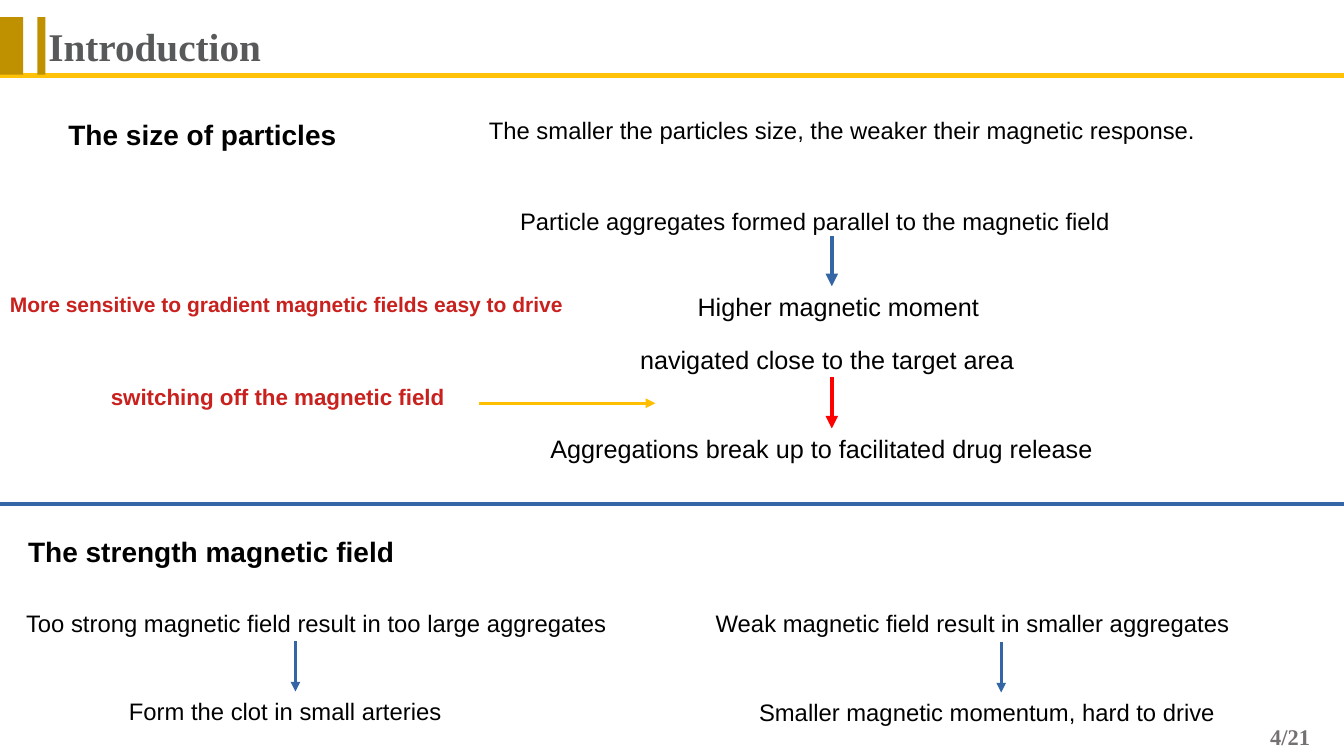
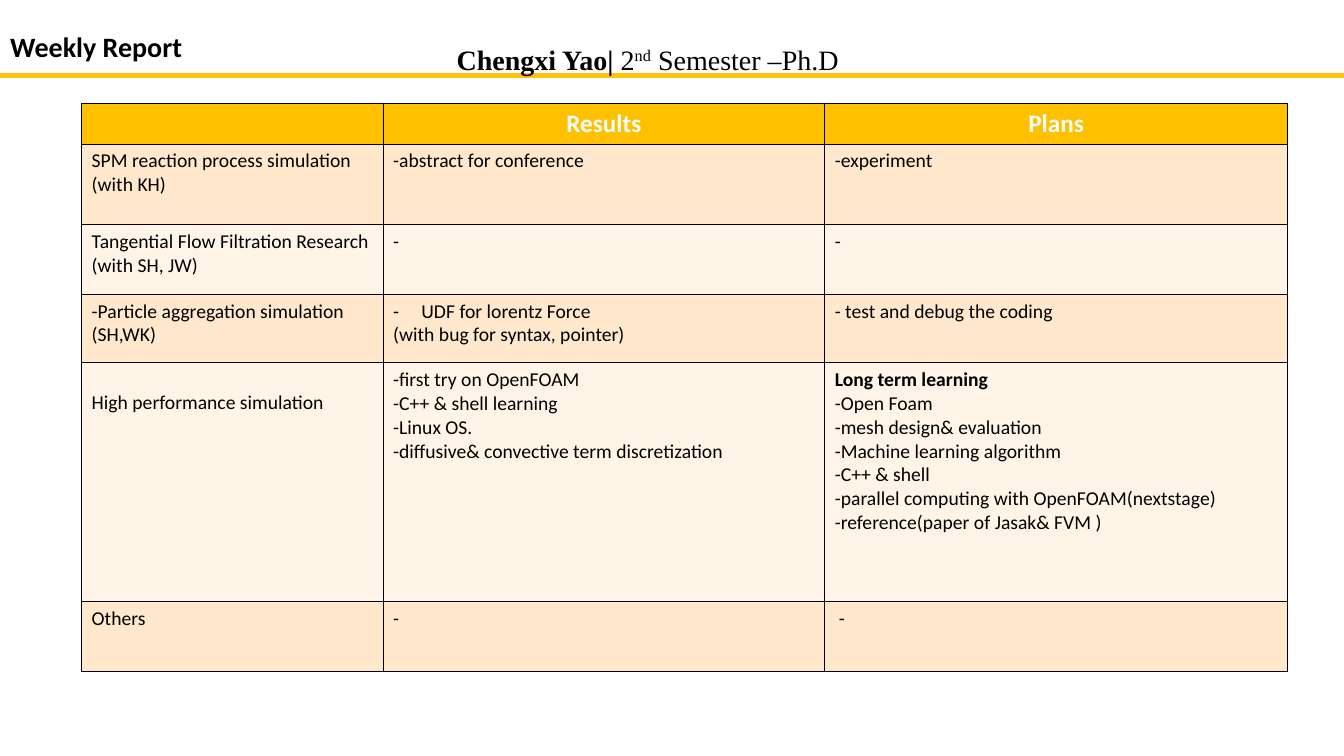
from lxml import etree
from pptx import Presentation
from pptx.dml.color import RGBColor
from pptx.enum.shapes import MSO_CONNECTOR, MSO_SHAPE
from pptx.enum.text import MSO_ANCHOR, MSO_AUTO_SIZE, PP_ALIGN
from pptx.oxml.ns import qn
from pptx.util import Inches, Pt

STRAIGHT = MSO_CONNECTOR.STRAIGHT
RECTANGLE = MSO_SHAPE.RECTANGLE
TOP = MSO_ANCHOR.TOP
NO_AUTOFIT = MSO_AUTO_SIZE.NONE
LEFT, CENTER = PP_ALIGN.LEFT, PP_ALIGN.CENTER
TOP_SIDE, BOTTOM_SIDE = 0, 2

SLIDE_WIDTH, SLIDE_HEIGHT = Inches(13.33), Inches(7.5)
GRID = Inches(0.25)
FULL_WIDTH = SLIDE_WIDTH / GRID
TITLE_ONLY = 5

BLACK = RGBColor(0x00, 0x00, 0x00)
WHITE = RGBColor(0xFF, 0xFF, 0xFF)
SLATE = RGBColor(0x58, 0x59, 0x5B)
GREY = RGBColor(0x76, 0x71, 0x71)
YELLOW = RGBColor(0xFF, 0xC2, 0x08)
GOLD = RGBColor(0xBF, 0x90, 0x00)
AMBER = RGBColor(0xFF, 0xBF, 0x00)
HEADER_AMBER = RGBColor(0xFF, 0xC0, 0x00)
BLUE = RGBColor(0x34, 0x65, 0xA4)
RED = RGBColor(0xFF, 0x00, 0x00)
CRIMSON = RGBColor(0xC9, 0x21, 0x1E)
PEACH = RGBColor(0xFF, 0xE8, 0xCC)
CREAM = RGBColor(0xFF, 0xF4, 0xE7)

SERIF = "Times New Roman"


def text_format(size, name="Arial", color=BLACK, bold=False):
    """Return the font values of one text style."""
    return {"size": Pt(size), "name": name, "bold": bold, "color": color}


HEADING = text_format(20, bold=True)
BODY = text_format(17)
STEP = text_format(18)
INTRO_TITLE = text_format(28, SERIF, SLATE, True)
REPORT_TITLE = text_format(20, "Calibri", bold=True)
PAGE_NUMBER = text_format(16, SERIF, GREY, True)
AUTHOR = text_format(20, SERIF, bold=True)
TERM = text_format(20, SERIF)
TABLE_HEADER = text_format(18, "Calibri", WHITE, True)
TABLE_BODY = text_format(14, "Calibri")
TABLE_STRONG = text_format(14, "Calibri", bold=True)

REPORT_COLUMNS = [11.96, 17.52, 18.36]
REPORT_ROWS = [1.6, 3.2, 2.76, 2.72, 9.48, 2.76]
REPORT = [
    ["", "Results", "Plans"],
    ["SPM reaction process simulation\n(with KH)", "-abstract for conference", "-experiment"],
    ["Tangential Flow Filtration Research\n(with SH, JW)", "-", "-"],
    ["-Particle aggregation simulation\n(SH,WK)",
     "-\tUDF for lorentz Force\n(with bug for syntax, pointer)",
     "- test and debug the coding"],
    ["High performance simulation",
     "-first try on OpenFOAM\n-C++ & shell learning\n-Linux OS.\n"
     "-diffusive& convective term discretization",
     "Long term learning\n-Open Foam\n-mesh design& evaluation\n"
     "-Machine learning algorithm\n-C++ & shell\n"
     "-parallel computing with OpenFOAM(nextstage)\n-reference(paper of Jasak& FVM )"],
    ["Others", "-", "-"],
]


def grid(*units):
    """Convert grid units to slide lengths."""
    return [round(unit * GRID) for unit in units]


def apply_format(font, values):
    """Set a font from a dict of format values."""
    for name, value in values.items():
        if name == "color":
            font.color.rgb = value
        else:
            setattr(font, name, value)


def add_run(paragraph, words, values):
    """Append a formatted run to a paragraph."""
    run = paragraph.add_run()
    run.text = words
    apply_format(run.font, values)
    return run


def add_text(slide, area, words, values):
    """Add a wrapped text box with one formatted run."""
    label = slide.shapes.add_textbox(*grid(*area))
    label.text_frame.word_wrap = True
    add_run(label.text_frame.paragraphs[0], words, values)
    return label


def add_line(slide, start, end, color, width, arrow=False):
    """Add a straight line, with an arrowhead at its end on request."""
    line = slide.shapes.add_connector(STRAIGHT, *grid(*start, *end))
    line.line.color.rgb = color
    line.line.width = Pt(width)
    properties = line._element.spPr
    if arrow:
        etree.SubElement(properties.find(qn("a:ln")), qn("a:tailEnd"), type="triangle")
    etree.SubElement(properties, qn("a:effectLst"))
    return line


def add_block(slide, area, color):
    """Add a plain filled rectangle."""
    block = slide.shapes.add_shape(RECTANGLE, *grid(*area))
    block.shadow.inherit = False
    block.fill.solid()
    block.fill.fore_color.rgb = color
    block.line.fill.background()


def add_titled_slide(deck, words, area, values):
    """Add a slide with a formatted title and the yellow header rule."""
    slide = deck.slides.add_slide(deck.slide_layouts[TITLE_ONLY])
    title = slide.shapes.title
    placement = zip(("left", "top", "width", "height"), grid(*area))
    for name, value in placement:
        setattr(title, name, value)
    frame = title.text_frame
    frame_format = {"word_wrap": True, "auto_size": NO_AUTOFIT, "vertical_anchor": TOP}
    for name, value in frame_format.items():
        setattr(frame, name, value)
    frame.paragraphs[0].alignment = LEFT
    add_run(frame.paragraphs[0], words, values)
    add_line(slide, (0, 3), (FULL_WIDTH, 3), YELLOW, 3)
    return slide


def add_particle_size(slide):
    """Add the upper half, on particle size."""
    add_text(slide, (2.32, 4.48, 13.64, 2.84), "The size of particles", HEADING)
    add_text(slide, (19, 4.4, 33, 1.6),
             "The smaller the particles size, the weaker their magnetic response.", BODY)
    add_text(slide, (0, 11.36, 22.96, 1.6),
             "More sensitive to gradient magnetic fields easy to drive",
             text_format(15, color=CRIMSON, bold=True))
    add_text(slide, (4, 15, 14.32, 1.48), "switching off the magnetic field",
             text_format(16, color=CRIMSON, bold=True))
    aggregates = add_text(slide, (20.24, 8, 25.52, 1.36),
                          "Particle aggregates formed parallel to the magnetic field", BODY)
    add_text(slide, (27.28, 11.36, 12.4, 1.48), "Higher magnetic moment", STEP)
    navigated = add_text(slide, (25, 13.48, 16, 1.48), "navigated close to the target area", STEP)
    release = add_text(slide, (21.44, 17, 23.12, 1.96),
                       "Aggregations break up to facilitated drug release", STEP)
    to_moment = add_line(slide, (33, 9.36), (33, 11.36), BLUE, 3, True)
    to_moment.begin_connect(aggregates, BOTTOM_SIDE)
    to_release = add_line(slide, (33, 15), (33, 17), RED, 3, True)
    to_release.begin_connect(navigated, BOTTOM_SIDE)
    to_release.end_connect(release, TOP_SIDE)
    add_line(slide, (19, 16), (26, 16), AMBER, 2.3, True)


def add_field_strength(slide):
    """Add the lower half, on field strength."""
    add_line(slide, (0, 20), (FULL_WIDTH, 20), BLUE, 2.3)
    add_text(slide, (0.72, 21, 15.96, 1.6), "The strength magnetic field", HEADING)
    branches = [
        ((0.64, 23.96, 26.36, 1.48), "Too strong magnetic field result in too large aggregates",
         (4.72, 27.44, 14, 1.48), "Form the clot in small arteries"),
        ((28, 23.96, 23.44, 1.52), "Weak magnetic field result in smaller aggregates",
         (29.72, 27.48, 20, 1.48), "Smaller magnetic momentum, hard to drive"),
    ]
    for cause_area, cause, effect_area, effect in branches:
        add_text(slide, cause_area, cause, BODY)
        outcome = add_text(slide, effect_area, effect, BODY)
        left, top, width, _ = effect_area
        axis = left + width / 2
        arrow = add_line(slide, (axis, top - 2), (axis, top), BLUE, 2.3, True)
        arrow.end_connect(outcome, TOP_SIDE)


def add_introduction(deck):
    """Build the introduction slide."""
    slide = add_titled_slide(deck, "Introduction", (1.52, 0.68, 12, 2.24), INTRO_TITLE)
    for left, width in ((0, 0.92), (1.48, 0.32)):
        add_block(slide, (left, 0.68, width, 2.28), GOLD)
    add_particle_size(slide)
    add_field_strength(slide)
    add_text(slide, (50, 28.52, 3.28, 1.44), "4/21", PAGE_NUMBER)


def add_borders(cell):
    """Draw thin black borders on all sides of a cell."""
    properties = cell._tc.get_or_add_tcPr()
    for side in ("lnL", "lnR", "lnT", "lnB"):
        border = etree.SubElement(properties, qn(f"a:{side}"), w=str(Pt(0.96)))
        fill = etree.SubElement(border, qn("a:solidFill"))
        etree.SubElement(fill, qn("a:srgbClr"), val=str(BLACK))


def add_tab_stop(paragraph, position):
    """Give a paragraph one left tab stop."""
    stops = etree.SubElement(paragraph._p.get_or_add_pPr(), qn("a:tabLst"))
    etree.SubElement(stops, qn("a:tab"), pos=str(position), algn="l")


def fill_cell(cell, words, fill, is_header):
    """Write, colour and border one table cell."""
    add_borders(cell)
    cell.fill.solid()
    cell.fill.fore_color.rgb = fill
    frame = cell.text_frame
    for index, line in enumerate(words.split("\n") if words else []):
        paragraph = frame.add_paragraph() if index else frame.paragraphs[0]
        if "\t" in line:
            add_tab_stop(paragraph, Inches(0.28))
        if is_header:
            paragraph.alignment = CENTER
            values = TABLE_HEADER
        else:
            values = TABLE_STRONG if line == "Long term learning" else TABLE_BODY
        add_run(paragraph, line, values)


def add_report_table(slide):
    """Add the table of results and plans."""
    area = grid(3.24, 4.12, sum(REPORT_COLUMNS), sum(REPORT_ROWS))
    table = slide.shapes.add_table(len(REPORT_ROWS), len(REPORT_COLUMNS), *area).table
    table.horz_banding = False
    for column, width in zip(table.columns, grid(*REPORT_COLUMNS)):
        column.width = width
    for row, height in zip(table.rows, grid(*REPORT_ROWS)):
        row.height = height
    row_fills = [HEADER_AMBER, PEACH, CREAM, PEACH, CREAM, PEACH]
    for row_index, (entries, fill) in enumerate(zip(REPORT, row_fills)):
        for column_index, words in enumerate(entries):
            fill_cell(table.cell(row_index, column_index), words, fill, row_index == 0)
    table.cell(4, 0).margin_top = Inches(0.28)
    table.cell(5, 2).margin_left = Inches(0.14)


def add_weekly_report(deck):
    """Build the weekly report slide."""
    slide = add_titled_slide(deck, "Weekly Report", (0, 0.96, 12, 1.72), REPORT_TITLE)
    byline = add_text(slide, (17.72, 1.48, 17.84, 1.72), "Chengxi Yao|", AUTHOR)
    paragraph = byline.text_frame.paragraphs[0]
    add_run(paragraph, " 2", TERM)
    ordinal = add_run(paragraph, "nd", TERM)
    ordinal._r.get_or_add_rPr().set("baseline", "30000")
    add_run(paragraph, " Semester –Ph.D", TERM)
    add_report_table(slide)


def main():
    """Build and save the deck."""
    deck = Presentation()
    deck.slide_width, deck.slide_height = SLIDE_WIDTH, SLIDE_HEIGHT
    add_introduction(deck)
    add_weekly_report(deck)
    deck.save("out.pptx")


if __name__ == "__main__":
    main()
